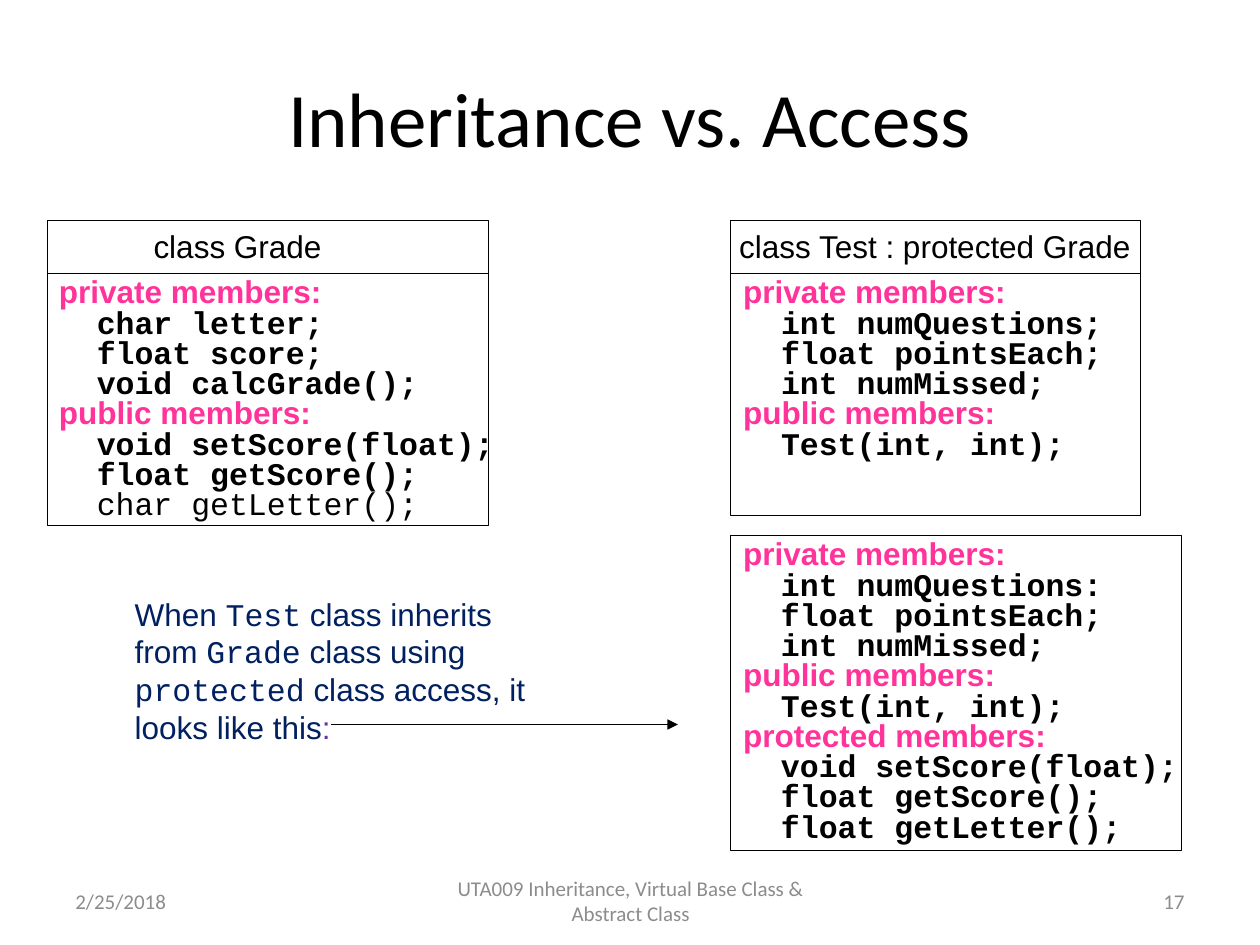
"""Build the slide on protected inheritance and member access."""
from lxml import etree
from pptx import Presentation
from pptx.dml.color import RGBColor
from pptx.enum.shapes import MSO_CONNECTOR, MSO_SHAPE
from pptx.enum.text import MSO_ANCHOR, PP_ALIGN
from pptx.oxml.ns import qn
from pptx.util import Inches, Pt

LEFT, CENTER, RIGHT = PP_ALIGN.LEFT, PP_ALIGN.CENTER, PP_ALIGN.RIGHT
TOP, MIDDLE = MSO_ANCHOR.TOP, MSO_ANCHOR.MIDDLE
BLACK, PINK, NAVY, PURPLE, GRAY = "000000", "FF3399", "002060", "7030A0", "8C8C8C"
SANS, CODE, THEME = "Arial", "Courier New", "Calibri"

HEADINGS = [
    ("Inheritance vs. Access", (0.5, 0.3, 9, 1.25), THEME, 44, BLACK, CENTER, MIDDLE),
    ("class Grade", (1.09, 1.75, 1.59, 0.4), SANS, 18, BLACK, CENTER, TOP),
    ("class Test : protected Grade", (5.63, 1.75, 3.58, 0.4), SANS, 18, BLACK, CENTER, TOP),
    ("2/25/2018", (0.5, 6.95, 2.33, 0.4), THEME, 12, GRAY, LEFT, MIDDLE),
    ("UTA009 Inheritance, Virtual Base Class & Abstract Class",
     (3.42, 6.95, 3.17, 0.4), THEME, 12, GRAY, CENTER, MIDDLE),
    ("17", (7.17, 6.95, 2.33, 0.4), THEME, 12, GRAY, RIGHT, MIDDLE),
]
GRADE_MEMBERS = [
    ("private members:", ["char letter;", "float score;", "void calcGrade();"]),
    ("public members:", ["void setScore(float);", "float getScore();", "char getLetter();"]),
]
TEST_MEMBERS = [
    ("private members:", ["int numQuestions;", "float pointsEach;", "int numMissed;"]),
    ("public members:", ["Test(int, int);"]),
]
INHERITED_MEMBERS = [
    ("private members:", ["int numQuestions:", "float pointsEach;", "int numMissed;"]),
    ("public members:", ["Test(int, int);"]),
    ("protected members:", ["void setScore(float);", "float getScore();", "float getLetter();"]),
]
MEMBER_LISTS = [
    (GRADE_MEMBERS, (0.37, 2.17, 3.67, 2.06)),
    (TEST_MEMBERS, (5.8, 2.17, 3.08, 1.57)),
    (INHERITED_MEMBERS, (5.8, 4.25, 3.83, 2.54)),
]
PLAIN_MEMBERS = {"char getLetter();"}
FRAMES = [
    (0.38, 1.75, 3.5, 0.42), (0.38, 2.17, 3.5, 2),
    (5.8, 1.75, 3.25, 0.42), (5.8, 2.17, 3.25, 1.92),
    (5.8, 4.25, 3.58, 2.5),
]
NOTE_AREA = (0.97, 4.67, 3.42, 1.3)
NOTE = [
    [("When ", SANS, NAVY), ("Test", CODE, NAVY), (" class inherits", SANS, NAVY)],
    [("from ", SANS, NAVY), ("Grade", CODE, NAVY), (" class using", SANS, NAVY)],
    [("protected", CODE, NAVY), (" class access, it looks like this", SANS, NAVY),
     (":", SANS, PURPLE)],
]
ARROW = (2.63, 5.75, 5.38, 5.75)


def inches(values):
    return [Inches(value) for value in values]


def color(value):
    return RGBColor.from_string(value)


def set_font(font, name, size, hex_color, bold=False):
    font.name, font.size, font.bold = name, Pt(size), bold
    font.color.rgb = color(hex_color)


def add_text_frame(slide, area, anchor=TOP):
    frame = slide.shapes.add_textbox(*inches(area)).text_frame
    frame.word_wrap = True
    frame.vertical_anchor = anchor
    return frame


def next_paragraph(frame, index):
    return frame.add_paragraph() if index else frame.paragraphs[0]


def add_heading(slide, text, area, font_name, size, hex_color, alignment, anchor):
    paragraph = add_text_frame(slide, area, anchor).paragraphs[0]
    paragraph.text = text
    paragraph.alignment = alignment
    set_font(paragraph.font, font_name, size, hex_color)


def add_members(slide, groups, area):
    lines = []
    for label, members in groups:
        lines.append((label, SANS, PINK, True))
        lines += [("  " + member, CODE, BLACK, member not in PLAIN_MEMBERS)
                  for member in members]
    frame = add_text_frame(slide, area)
    for index, (text, font_name, hex_color, bold) in enumerate(lines):
        paragraph = next_paragraph(frame, index)
        paragraph.text = text
        paragraph.line_spacing = 0.8
        set_font(paragraph.font, font_name, 18, hex_color, bold)


def add_note(slide):
    frame = add_text_frame(slide, NOTE_AREA)
    for index, parts in enumerate(NOTE):
        paragraph = next_paragraph(frame, index)
        for text, font_name, hex_color in parts:
            run = paragraph.add_run()
            run.text = text
            set_font(run.font, font_name, 18, hex_color)


def set_line(shape):
    shape.line.color.rgb = color(BLACK)
    shape.line.width = Pt(0.75)


def add_frame(slide, area):
    shape = slide.shapes.add_shape(MSO_SHAPE.RECTANGLE, *inches(area))
    shape.shadow.inherit = False
    shape.fill.background()
    set_line(shape)


def add_arrow(slide):
    connector = slide.shapes.add_connector(MSO_CONNECTOR.STRAIGHT, *inches(ARROW))
    set_line(connector)
    etree.SubElement(connector.line._get_or_add_ln(), qn("a:tailEnd"), type="triangle")
    etree.SubElement(connector._element.spPr, qn("a:effectLst"))


def main():
    presentation = Presentation()
    presentation.slide_width, presentation.slide_height = Inches(10), Inches(7.5)
    slide = presentation.slides.add_slide(presentation.slide_layouts[6])
    for groups, area in MEMBER_LISTS:
        add_members(slide, groups, area)
    for area in FRAMES:
        add_frame(slide, area)
    for heading in HEADINGS:
        add_heading(slide, *heading)
    add_note(slide)
    add_arrow(slide)
    presentation.save("out.pptx")


if __name__ == "__main__":
    main()
